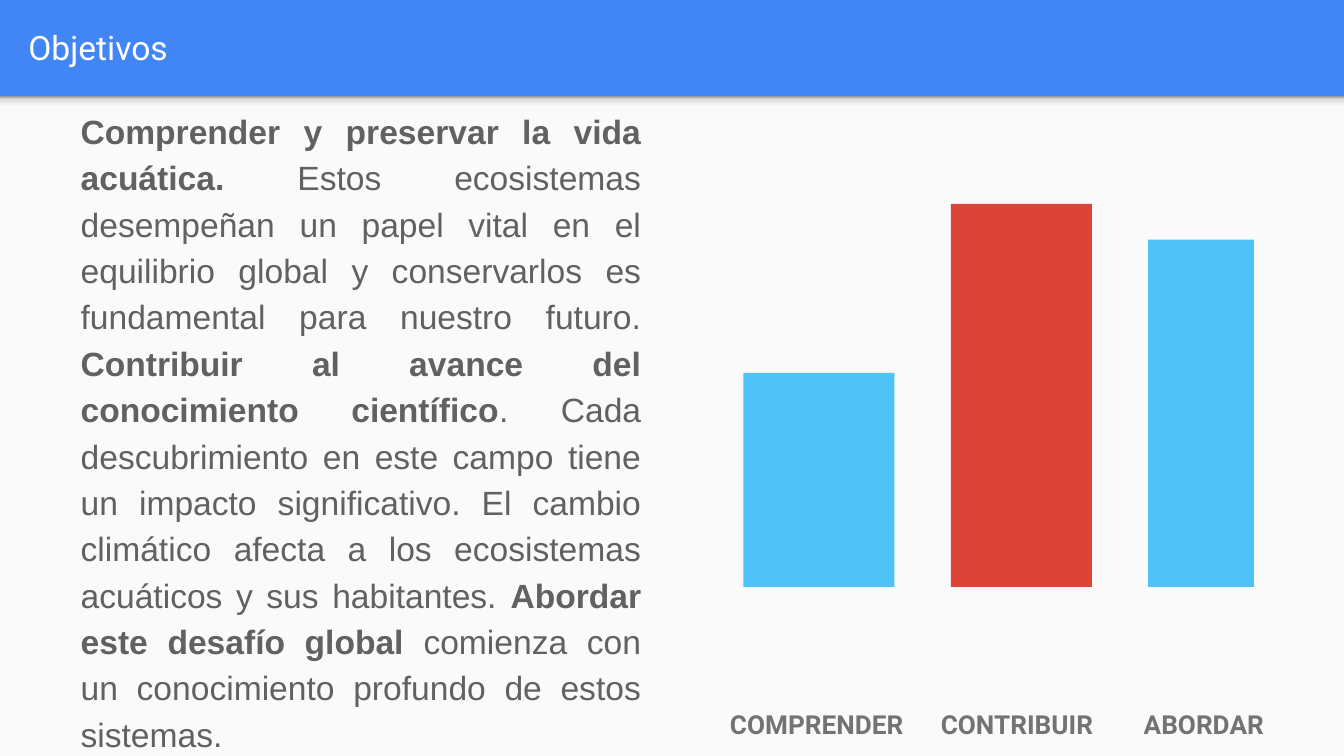
from lxml.etree import SubElement
from pptx import Presentation
from pptx.dml.color import RGBColor as RGB
from pptx.enum.shapes import MSO_SHAPE as Preset
from pptx.enum.text import MSO_ANCHOR as Anchor, MSO_AUTO_SIZE as AutoSize, PP_ALIGN as Align
from pptx.oxml import parse_xml
from pptx.oxml.ns import nsdecls, qn
from pptx.util import Pt

# Content
TITLE = "Objetivos"
BODY = [  # (text, bold)
    ("Comprender y preservar la vida acuática.", True),
    (" Estos ecosistemas desempeñan un papel vital en el equilibrio global y "
     "conservarlos es fundamental para nuestro futuro. ", False),
    ("Contribuir al avance del conocimiento científico", True),
    (". Cada descubrimiento en este campo tiene un impacto significativo. El cambio "
     "climático afecta a los ecosistemas acuáticos y sus habitantes. ", False),
    ("Abordar este desafío global", True),
    (" comienza con un conocimiento profundo de estos sistemas.", False),
]
BARS = [  # (label, column width, bar width, bar height, colour)
    ("COMPRENDER", 113, 80.9, 114.6, "sky"),
    ("CONTRIBUIR", 108.7, 75.5, 205.2, "red"),
    ("ABORDAR", 85.7, 56.6, 186, "sky"),
]

THEME = {
    "header": "4285F4", "panel": "FAFAFA", "title": "FFFFFF", "body": "616161",
    "label": "737373", "sky": "4FC3F7", "red": "DB4437",
    "title_font": "Roboto", "body_font": "Arial",
    "title_size": 18, "body_size": 18, "label_size": 14,
}
SHADE = [(0, "F9F9F9"), (36, "F9F9F9"), (80, "DEDEDE"), (100, "999999")]

# Layout
WIDTH, HEIGHT = 720, 405
PANEL_TOP, SHADE_HEIGHT = 51.6, 8.6
BAR_LEFT, BAR_BASE, BAR_GAP = 398.3, 314.4, 30.2
TABLE_LEFT, TABLE_TOP, ROW_HEIGHT = 383.8, 370.8, 18.7
INSET, LINE_SPACING = 7.2, 1.15


def colour(name):
    return RGB.from_string(THEME[name])


def style_font(font, role, family, bold=False):
    font.name = THEME[family]
    font.size = Pt(THEME[role + "_size"])
    font.color.rgb = colour(role)
    font.bold = bold


def set_margins(target):
    target.margin_left = target.margin_right = Pt(INSET)
    target.margin_top = target.margin_bottom = Pt(INSET)


def place(shape, *box):
    shape.left, shape.top, shape.width, shape.height = map(Pt, box)


def add_block(slide, box, name):
    shape = slide.shapes.add_shape(Preset.RECTANGLE, *map(Pt, box))
    shape.shadow.inherit = False
    shape.fill.solid()
    shape.fill.fore_color.rgb = colour(name)
    shape.line.fill.background()
    return shape


def add_backdrop(slide):
    slide.background.fill.solid()
    slide.background.fill.fore_color.rgb = colour("header")
    panel = add_block(slide, (0, PANEL_TOP, WIDTH, HEIGHT - PANEL_TOP), "panel")
    shade = add_block(slide, (0, PANEL_TOP, WIDTH, SHADE_HEIGHT), "panel")
    stops = "".join(f'<a:gs pos="{position * 1000}"><a:srgbClr val="{value}"/></a:gs>'
                    for position, value in SHADE)
    gradient = parse_xml(f'<a:gradFill {nsdecls("a")}><a:gsLst>{stops}</a:gsLst>'
                         '<a:lin ang="16200000" scaled="0"/></a:gradFill>')
    properties = shade.element.spPr
    properties.replace(properties.find(qn("a:solidFill")), gradient)
    # Send both behind the placeholders
    tree = panel.element.getparent()
    for index, shape in enumerate((panel, shade), start=2):
        tree.insert(index, shape.element)


def fill_title(slide):
    title = slide.shapes.title
    place(title, 8, 1.5, 695, 47.5)
    text_frame = title.text_frame
    text_frame.text = TITLE
    text_frame.auto_size = AutoSize.NONE
    text_frame.vertical_anchor = Anchor.MIDDLE
    set_margins(text_frame)
    paragraph = text_frame.paragraphs[0]
    paragraph.alignment = Align.LEFT
    style_font(paragraph.runs[0].font, "title", "title_font")


def fill_body(slide):
    body = slide.placeholders[1]
    place(body, 36, 49, 314.7, 325.5)
    text_frame = body.text_frame
    text_frame.auto_size = AutoSize.NONE
    text_frame.vertical_anchor = Anchor.TOP
    set_margins(text_frame)
    paragraph = text_frame.paragraphs[0]
    properties = paragraph._p.get_or_add_pPr()
    properties.set("marL", "0")
    properties.set("indent", "0")
    SubElement(properties, qn("a:buNone"))
    paragraph.alignment = Align.JUSTIFY
    paragraph.line_spacing = LINE_SPACING
    paragraph.space_before = Pt(0)
    for text, bold in BODY:
        run = paragraph.add_run()
        run.text = text
        style_font(run.font, "body", "body_font", bold)


def add_labels(slide):
    total = sum(bar[1] for bar in BARS)
    table = slide.shapes.add_table(1, len(BARS), Pt(TABLE_LEFT), Pt(TABLE_TOP),
                                   Pt(total), Pt(ROW_HEIGHT)).table
    table.first_row = table.horz_banding = False
    for index, (label, width, *_) in enumerate(BARS):
        table.columns[index].width = Pt(width)
        cell = table.cell(0, index)
        set_margins(cell)
        properties = cell._tc.get_or_add_tcPr()
        for side in ("lnL", "lnR", "lnT", "lnB"):
            SubElement(SubElement(properties, qn("a:" + side)), qn("a:noFill"))
        cell.fill.background()
        cell.text_frame.text = label
        paragraph = cell.text_frame.paragraphs[0]
        paragraph.line_spacing = LINE_SPACING
        style_font(paragraph.runs[0].font, "label", "title_font", True)


def add_bars(slide):
    left = BAR_LEFT
    for _, _, width, height, name in BARS:
        add_block(slide, (left, BAR_BASE - height, width, height), name)
        left += width + BAR_GAP


def main():
    presentation = Presentation()
    presentation.slide_width, presentation.slide_height = Pt(WIDTH), Pt(HEIGHT)
    slide = presentation.slides.add_slide(presentation.slide_layouts[1])
    add_backdrop(slide)
    fill_title(slide)
    fill_body(slide)
    add_labels(slide)
    add_bars(slide)
    presentation.save("out.pptx")


if __name__ == "__main__":
    main()
